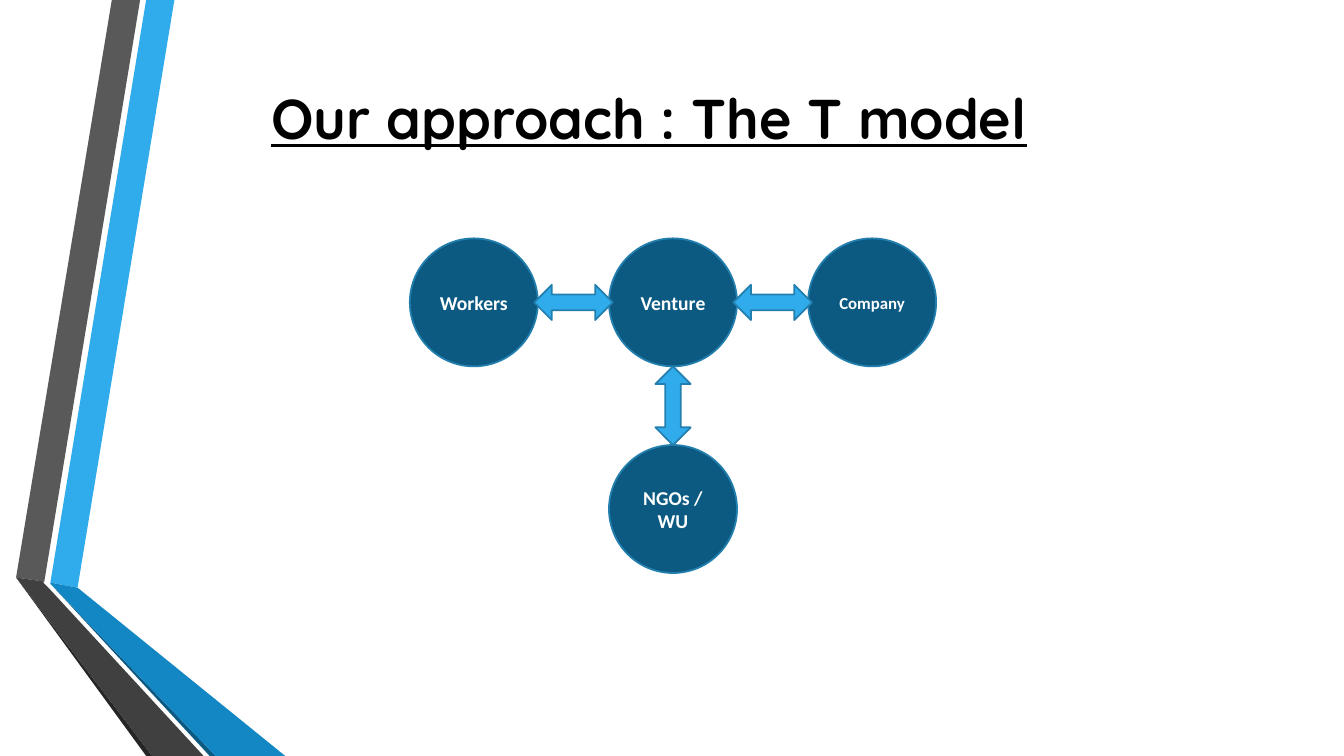
from pptx import Presentation
from pptx.dml.color import RGBColor
from pptx.enum.shapes import MSO_SHAPE
from pptx.enum.text import MSO_ANCHOR, MSO_AUTO_SIZE, PP_ALIGN
from pptx.util import Inches, Pt

BLACK = RGBColor(0x00, 0x00, 0x00)
WHITE = RGBColor(0xFF, 0xFF, 0xFF)
NAVY = RGBColor(0x0C, 0x5A, 0x82)
EDGE = RGBColor(0x23, 0x7F, 0xAE)
SKY = RGBColor(0x30, 0xAC, 0xEC)
BLUE = RGBColor(0x12, 0x87, 0xC3)
GREY = RGBColor(0x59, 0x59, 0x59)
DARK = RGBColor(0x40, 0x40, 0x40)
COAL = RGBColor(0x26, 0x26, 0x26)

TITLE = "Our approach : The T model"
NODES = {
    "Workers": (0, 0, 14),
    "Venture": (1, 0, 14),
    "Company": (2, 0, 12),
    "NGOs / WU": (1, 1, 14),
}
HUB = "Venture"
RIBBONS = [
    (SKY, [(50, 578), (77, 583), (173, 0), (145, 0)]),
    (GREY, [(139, 0), (111, 0), (16, 573), (44, 577)]),
    (COAL, [(16, 573), (145, 750), (151, 750)]),
    (NAVY, [(50, 579), (208, 750), (214, 750)]),
    (BLUE, [(50, 579), (214, 750), (283, 750), (77, 583), (50, 578)]),
    (DARK, [(202, 750), (48, 583), (43, 578), (44, 577), (16, 573), (151, 750)]),
]

LEFT, TOP = 4.7, 3.0
COL, ROW = 1.975, 2.05
SIZE = 1.27
WIDE, LONG = 0.35, 0.78


def paint(shape, fill, edge=None):
    shape.shadow.inherit = False
    shape.fill.solid()
    shape.fill.fore_color.rgb = fill
    if edge is None:
        shape.line.fill.background()
    else:
        shape.line.color.rgb = edge
        shape.line.width = Pt(1.25)


def center(name):
    col, row, _ = NODES[name]
    return LEFT + col * COL, TOP + row * ROW


def place(shapes, kind, x, y, wide, high):
    return shapes.add_shape(kind, Inches(x - wide / 2), Inches(y - high / 2),
                            Inches(wide), Inches(high))


def add_title(slide):
    title = slide.shapes.title
    title.left, title.top = Inches(2.59), Inches(0.78)
    title.width, title.height = Inches(8.16), Inches(1.62)
    frame = title.text_frame
    frame.text = TITLE
    frame.auto_size = MSO_AUTO_SIZE.NONE
    frame.vertical_anchor = MSO_ANCHOR.TOP
    para = frame.paragraphs[0]
    para.alignment = PP_ALIGN.LEFT
    para.space_before, para.space_after = Pt(4.8), Pt(6)
    font = para.font
    font.name, font.size = "Quicksand", Pt(40)
    font.bold = font.underline = True
    font.color.rgb = BLACK


def add_node(shapes, name):
    node = place(shapes, MSO_SHAPE.OVAL, *center(name), SIZE, SIZE)
    paint(node, NAVY, EDGE)
    frame = node.text_frame
    frame.text = name
    frame.word_wrap = True
    frame.vertical_anchor = MSO_ANCHOR.MIDDLE
    para = frame.paragraphs[0]
    para.alignment = PP_ALIGN.CENTER
    font = para.font
    font.name, font.size, font.bold = "Calibri", Pt(NODES[name][2]), True
    font.color.rgb = WHITE


def add_link(shapes, name):
    (x, y), (hub_x, hub_y) = center(name), center(HUB)
    arrow = place(shapes, MSO_SHAPE.UP_DOWN_ARROW,
                  (x + hub_x) / 2, (y + hub_y) / 2, WIDE, LONG)
    arrow.rotation = 90 if y == hub_y else 0
    arrow.adjustments[0], arrow.adjustments[1] = 0.5, 0.44
    paint(arrow, SKY, EDGE)


def main():
    deck = Presentation()
    deck.slide_width, deck.slide_height = Inches(13.33), Inches(7.5)
    slide = deck.slides.add_slide(deck.slide_layouts[5])
    shapes = slide.shapes
    for color, points in RIBBONS:
        pen = shapes.build_freeform(*points[0], scale=Inches(0.01))
        pen.add_line_segments(points[1:], close=True)
        paint(pen.convert_to_shape(), color)
    add_title(slide)
    for name in NODES:
        add_node(shapes, name)
    for name in NODES:
        if name != HUB:
            add_link(shapes, name)
    deck.save("out.pptx")


if __name__ == "__main__":
    main()
